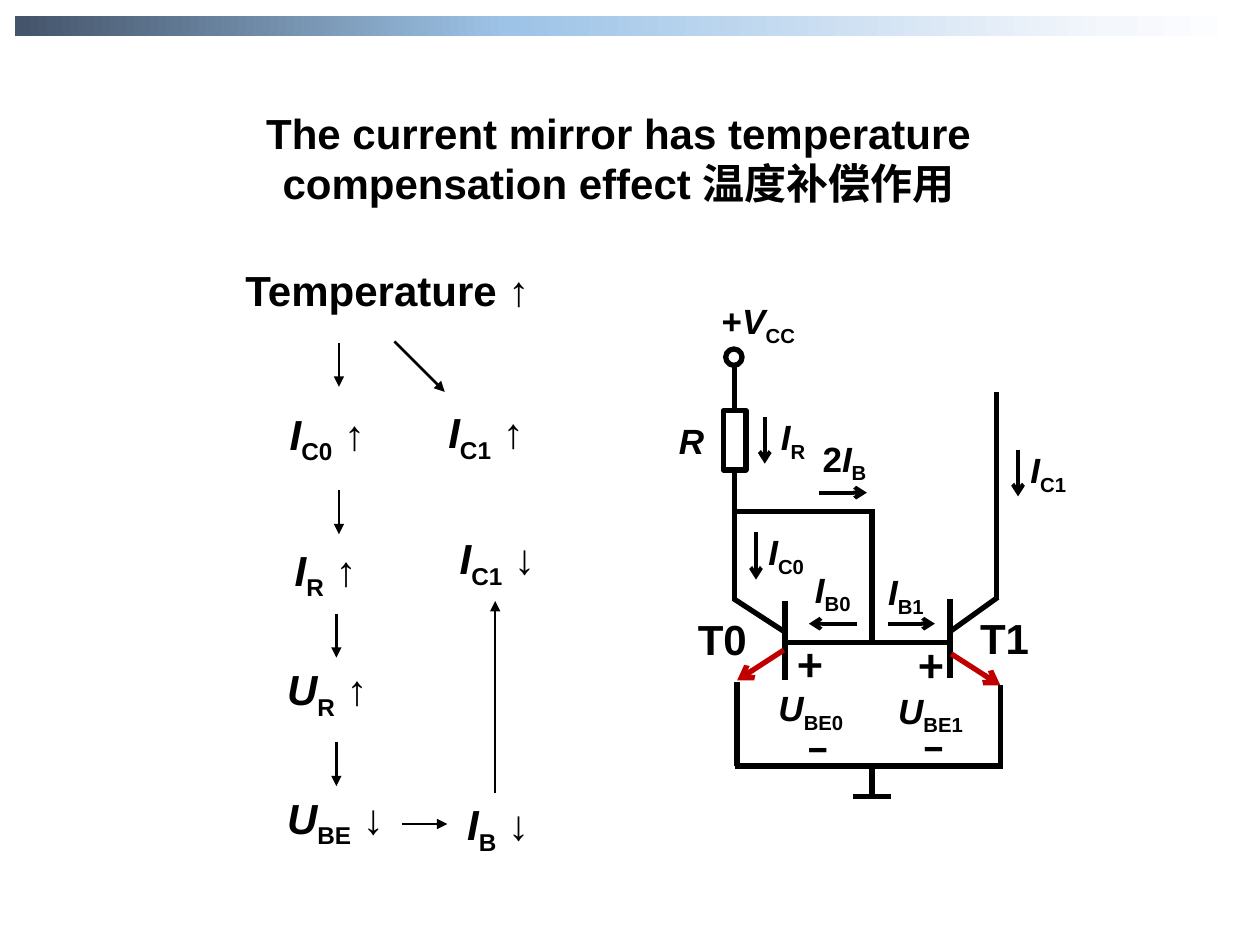
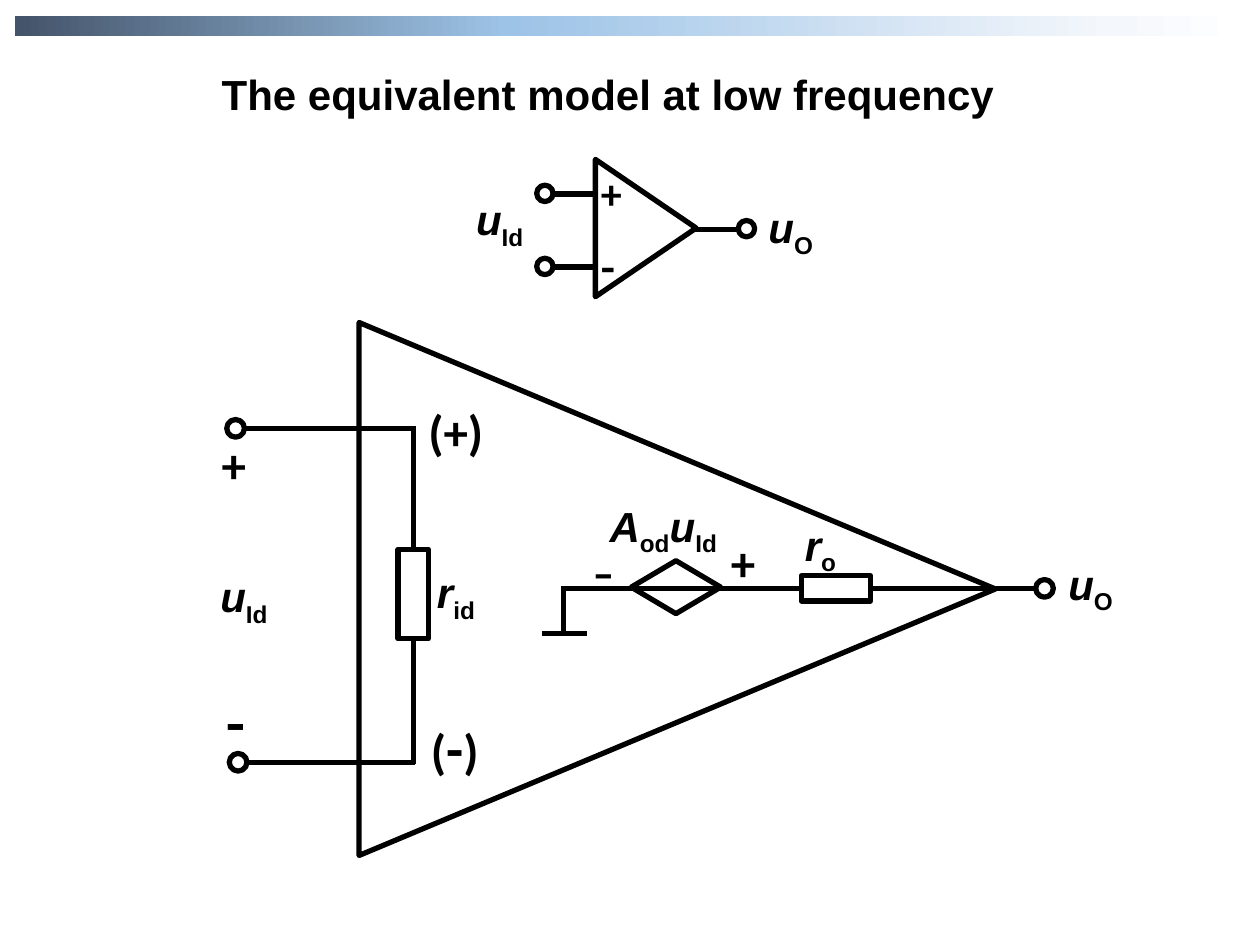
from dataclasses import dataclass
from typing import Any

from lxml.etree import SubElement
from pptx import Presentation
from pptx.dml.color import RGBColor
from pptx.enum.shapes import MSO_CONNECTOR, MSO_SHAPE as Preset
from pptx.enum.text import MSO_ANCHOR, MSO_AUTO_SIZE as Fit, PP_ALIGN as Align
from pptx.oxml.ns import qn
from pptx.util import Emu, Pt

PX = 9144  # one px is a hundredth of an inch
COLORS = {"ink": "000000", "emitter": "C00000"}
BAND_STOPS = {0: "44546A", 40: "9DC3E6", 89: "F4F7FC", 100: "FFFFFF"}
LATIN, SIGN, HAN = "Arial", "Calibri", "Noto Sans CJK SC"
TOP, LEFT, BOTTOM, RIGHT = range(4)  # connection sites of a rectangle
INSETS = ("margin_left", "margin_top", "margin_right", "margin_bottom")


def px(*lengths):
    return [Emu(length * PX) for length in lengths]


def color(name):
    return RGBColor.from_string(COLORS[name])


def assign(target, **values):
    for name, value in values.items():
        setattr(target, name, value)


def write(para, markup, size, font=LATIN, bold=True):
    """Add spans parted by |, where / marks italic and _ marks subscript."""
    for piece in markup.split("|"):
        span = para.add_run()
        span.text = piece.lstrip("/_")
        assign(span.font, name=font, size=Pt(size), bold=bold,
               italic=piece.startswith("/"))
        span.font.color.rgb = color("ink")
        if piece.startswith("_"):
            span.font._element.set("baseline", "-25000")


@dataclass
class Region:
    """An area of a page whose contents are placed from its top left corner."""
    page: Any
    left: int
    top: int

    def at(self, x, y):
        return px(self.left + x, self.top + y)

    def wire(self, x1, y1, x2, y2, width=3, ink="ink", head=None, start=None):
        line = self.page.shapes.add_connector(
            MSO_CONNECTOR.STRAIGHT, *self.at(x1, y1), *self.at(x2, y2))
        line.line.width = Pt(width)
        line.line.color.rgb = color(ink)
        if head:
            SubElement(line.line._get_or_add_ln(), qn("a:tailEnd"), type=head)
        SubElement(line._element.spPr, qn("a:effectLst"))
        if start:
            line.begin_connect(*start)

    def outline(self, preset, x, y, width, height, turn=0):
        shape = self.page.shapes.add_shape(
            preset, *self.at(x, y), *px(width, height))
        shape.rotation = turn
        shape.shadow.inherit = False
        shape.fill.background()
        shape.line.width = Pt(3)
        shape.line.color.rgb = color("ink")
        return shape

    def terminal(self, x, y, size=13):
        self.outline(Preset.OVAL, x, y, size, size)

    def label(self, markup, x, y, width, height=52, size=20):
        frame = self.page.shapes.add_textbox(
            *self.at(x, y), *px(width, height)).text_frame
        assign(frame, word_wrap=True, auto_size=Fit.SHAPE_TO_FIT_TEXT)
        write(frame.paragraphs[0], markup, size)

    def sign(self, text, x, y, width, height, size=28, font=SIGN, bold=True,
             inset=0, align=Align.LEFT):
        frame = self.page.shapes.add_textbox(
            *self.at(x, y), *px(width, height)).text_frame
        assign(frame, word_wrap=False, auto_size=Fit.SHAPE_TO_FIT_TEXT)
        if not inset:
            assign(frame, **dict.fromkeys(INSETS, 0))
        frame.paragraphs[0].alignment = align
        write(frame.paragraphs[0], text, size, font, bold)
        return frame.paragraphs[0]


def add_band(page):
    band = page.shapes.add_shape(Preset.RECTANGLE, *px(12, 13, 976, 16))
    band.shadow.inherit = False
    band.line.fill.background()
    band.fill.gradient()
    band.fill.gradient_angle = 0
    stops = band._element.spPr.find(qn("a:gradFill")).find(qn("a:gsLst"))
    for stop in list(stops):
        stops.remove(stop)
    for percent, value in BAND_STOPS.items():
        stop = SubElement(stops, qn("a:gs"), pos=str(percent * 1000))
        SubElement(stop, qn("a:srgbClr"), val=value)


def add_page(deck, box, heading, han=None):
    page = deck.slides.add_slide(deck.slide_layouts[5])
    add_band(page)
    title = page.shapes.title
    assign(title, **dict(zip(("left", "top", "width", "height"), px(*box))))
    frame = title.text_frame
    assign(frame, word_wrap=True, auto_size=Fit.NONE,
           vertical_anchor=MSO_ANCHOR.TOP)
    para = frame.paragraphs[0]
    para.alignment = Align.CENTER
    write(para, heading, 24)
    if han:
        write(para, han, 24, HAN)
        SubElement(para.runs[-1].font._element, qn("a:ea"), typeface=HAN)
    return page


def temperature_chain(page, left, top):
    region = Region(page, left, top)
    region.label("Temperature ↑", 5, 5, 257, 50, size=24)
    for markup, x, y in (
            ("/I|_C0| ↑", 40, 119), ("/I|_C1| ↑", 166, 118),
            ("/I|_R| ↑", 44, 227), ("/I|_C1| ↓", 175, 218),
            ("/U|_R| ↑", 38, 322), ("/U|_BE| ↓", 38, 424),
            ("/I|_B| ↓", 181, 429)):
        region.label(markup, x, y, 112, 59, size=24)
    # Steps down the left column, then across and back up
    steps = [(x, y, x, y + 35)
             for x, y in ((89, 72), (89, 189), (87, 287), (87, 389))]
    steps += [(133, 71, 173, 111), (139, 454, 175, 454), (213, 429, 213, 277)]
    for step in steps:
        region.wire(*step, width=1.5, head="triangle")


def mirror_circuit(page, left, top):
    region = Region(page, left, top)
    # Supply and resistor
    region.terminal(46, 47)
    resistor = region.outline(Preset.RECTANGLE, 44, 96, 18, 47)
    region.wire(53, 96, 53, 60, start=(resistor, TOP))
    region.wire(53, 143, 53, 247, start=(resistor, BOTTOM))
    # Transistors: collectors, bases, emitters
    for ends in ((52, 245, 92, 271), (262, 244, 223, 272),
                 (93, 310, 93, 247), (224, 308, 224, 245)):
        region.wire(*ends)
    for ends in ((92, 286, 55, 310), (225, 289, 264, 314)):
        region.wire(*ends, ink="emitter", head="arrow")
    # Rails and ground
    for ends in ((261, 246, 261, 81), (163, 176, 55, 176),
                 (162, 280, 162, 174), (225, 280, 92, 280),
                 (55, 378, 55, 311), (264, 380, 264, 314),
                 (265, 378, 53, 378), (162, 402, 162, 377),
                 (147, 402, 177, 402)):
        region.wire(*ends)
    # Current arrows
    for ends in ((77, 101, 77, 138), (70, 192, 70, 230), (278, 127, 278, 164),
                 (150, 265, 112, 265), (175, 265, 212, 265),
                 (120, 161, 158, 161)):
        region.wire(*ends, width=2.25, head="arrow")
    # Names
    for markup, x, y in (
            ("+|/V|_CC", 33, 3), ("/R", -1, 98), ("/I|_R", 80, 95),
            ("2|/I|_B", 113, 112), ("/I|_C0", 70, 186), ("/I|_B0", 107, 216),
            ("/I|_B1", 165, 218), ("/I|_C1", 278, 121),
            ("/U|_BE0", 78, 310), ("/U|_BE1", 173, 312)):
        region.label(markup, x, y, 87)
    region.label("T0", 14, 252, 64, 50, size=24)
    region.label("T1", 238, 251, 64, 50, size=24)
    for text, x, y, width in (("+", 93, 267, 40), ("–", 97, 333, 44),
                              ("+", 189, 268, 40), ("–", 189, 332, 44)):
        region.sign(text, x, y, width, 56, inset=1, align=Align.CENTER)


def amplifier_symbol(page, left, top):
    region = Region(page, left, top)
    region.outline(Preset.ISOSCELES_TRIANGLE, 98, 11, 109, 80, turn=90)
    for y, text, font in ((24, "+", SIGN), (82, "-", HAN)):
        region.wire(113, y, 77, y)
        region.terminal(66, y - 7)
        region.sign(text, 117, y - 21, 17, 40, 24, font)
    region.wire(192, 52, 228, 52)
    region.terminal(226, 45)
    region.label("/u|_Id", 8, 19, 70, 59, size=24)
    region.label("/u|_O", 240, 25, 58, 59, size=24)


def equivalent_model(page, left, top):
    region = Region(page, left, top)
    region.outline(Preset.ISOSCELES_TRIANGLE, 166, -105, 423, 505, turn=90)
    # Input side
    input_resistor = region.outline(Preset.RECTANGLE, 156, 116, 24, 71)
    region.wire(168, 116, 168, 18, start=(input_resistor, TOP))
    region.wire(168, 187, 168, 286, start=(input_resistor, BOTTOM))
    for x, y in ((20, 20), (22, 285)):
        region.terminal(x, y - 7, 14)
        region.wire(x + 14, y, 169, y)
    # Output side
    output_resistor = region.outline(Preset.RECTANGLE, 476, 137, 55, 20)
    region.wire(476, 147, 287, 147, start=(output_resistor, LEFT))
    region.wire(531, 147, 661, 147, start=(output_resistor, RIGHT))
    region.wire(287, 145, 287, 183)
    region.wire(270, 183, 306, 183)
    region.outline(Preset.FLOWCHART_DECISION, 341, 125, 71, 42)
    region.terminal(662, 140, 14)
    # Polarity signs
    region.sign("+", 16, 25, 20, 47)
    region.sign("-", 19, 226, 23, 54, 32, HAN)
    region.sign("+", 420, 103, 20, 47)
    region.sign("-", 311, 104, 24, 57, 34, HAN, bold=False)
    region.sign("(+)", 180, -1, 50, 46)
    minus = region.sign("(|-|)", 182, 246, 50, 53)
    minus.runs[1].font.size = Pt(32)
    # Names
    for markup, x, y, width in (
            ("/u|_Id", 5, 128, 70), ("/r|_id", 177, 125, 70),
            ("/A|_od|/u|_Id", 314, 72, 154), ("/r|_o", 469, 87, 70),
            ("/u|_O", 678, 118, 58)):
        region.label(markup, x, y, width, 59, size=24)


def main():
    deck = Presentation()
    deck.slide_width, deck.slide_height = px(1000, 750)

    page = add_page(deck, (137, 80, 708, 88),
                    "The current mirror has temperature compensation effect ",
                    "温度补偿作用")
    temperature_chain(page, 180, 200)
    mirror_circuit(page, 530, 230)

    page = add_page(deck, (124, 49, 717, 50),
                    "The equivalent model at low frequency")
    amplifier_symbol(page, 360, 130)
    equivalent_model(page, 160, 320)

    deck.save("out.pptx")


if __name__ == "__main__":
    main()
